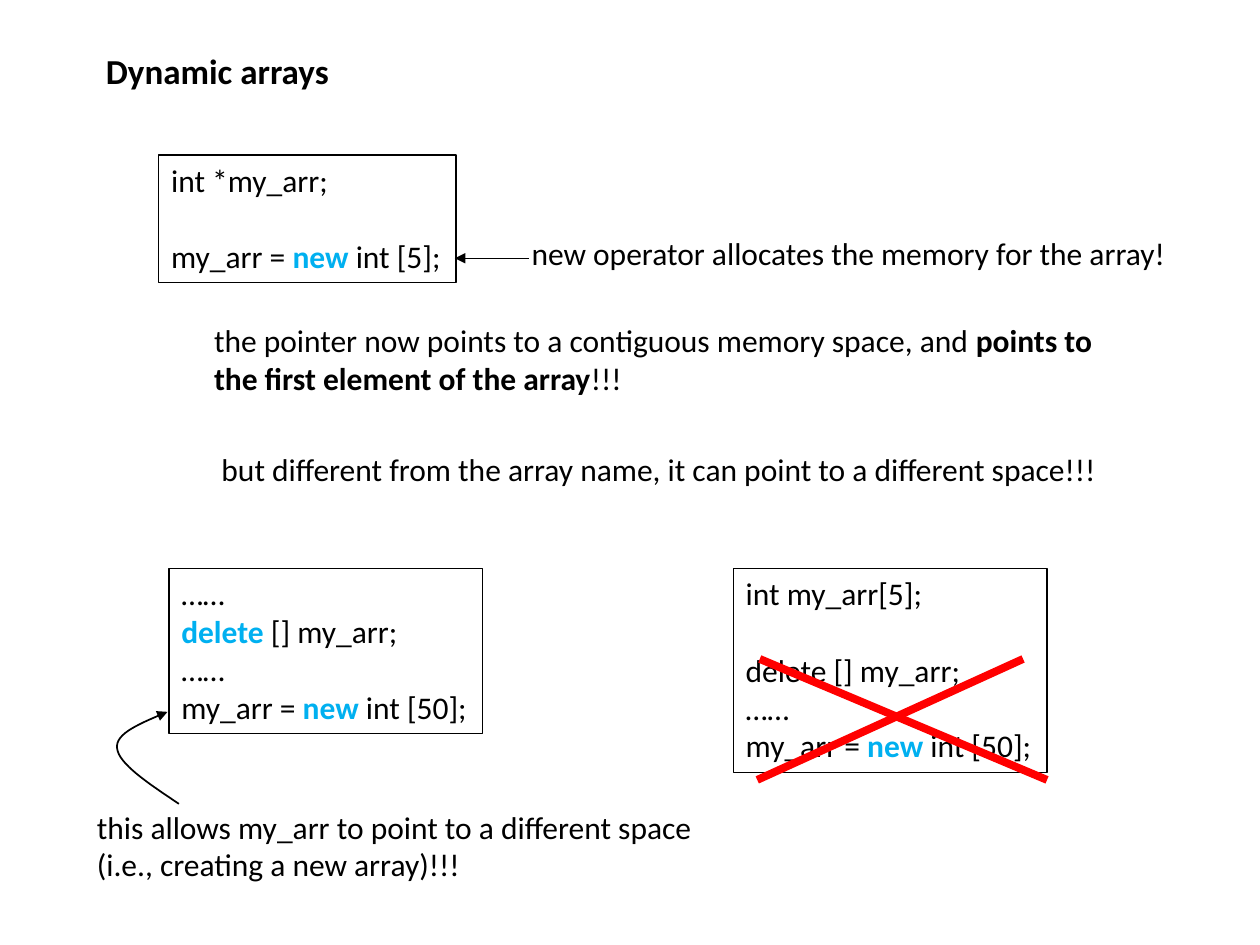
from dataclasses import dataclass

import pptx
import pptx.dml.color
import pptx.enum.shapes
import pptx.enum.text
import pptx.oxml
import pptx.oxml.ns
import pptx.util

Inches = pptx.util.Inches
Pt = pptx.util.Pt
RGB = pptx.dml.color.RGBColor


@dataclass(frozen=True)
class Theme:
    font: str = "Calibri"
    title_size: int = 20
    body_size: int = 18
    ink: RGB = RGB(0x00, 0x00, 0x00)
    keyword: RGB = RGB(0x00, 0xB0, 0xF0)
    cross: RGB = RGB(0xFF, 0x00, 0x00)


theme = Theme()


def write_text(shape, lines, wrap=False, size=theme.body_size):
    """Fill a shape; a line is a list of (text, style), and None leaves a line's gap."""
    frame = shape.text_frame
    frame.word_wrap = wrap
    frame.auto_size = pptx.enum.text.MSO_AUTO_SIZE.SHAPE_TO_FIT_TEXT
    frame.vertical_anchor = pptx.enum.text.MSO_ANCHOR.TOP
    paragraph, gap = None, 0
    for line in lines:
        if line is None:
            gap = 22
            continue
        paragraph = frame.add_paragraph() if paragraph else frame.paragraphs[0]
        paragraph.alignment = pptx.enum.text.PP_ALIGN.LEFT
        paragraph.line_spacing = 1.0
        paragraph.space_before = Pt(gap)
        paragraph.font.name = theme.font
        paragraph.font.size = Pt(size)
        paragraph.font.color.rgb = theme.ink
        gap = 0
        for text, style in line:
            run = paragraph.add_run()
            run.text = text
            if style:
                run.font.bold = True
            if style == "keyword":
                run.font.color.rgb = theme.keyword


def style_line(shape, color, width, arrow=False):
    shape.line.color.rgb = color
    shape.line.width = Pt(width)
    properties = shape.element.spPr
    if arrow:
        tail = pptx.oxml.parse_xml(
            f'<a:tailEnd {pptx.oxml.ns.nsdecls("a")} type="triangle"/>')
        properties.find(pptx.oxml.ns.qn("a:ln")).append(tail)
    if properties.find(pptx.oxml.ns.qn("a:effectLst")) is None:
        properties.append(pptx.oxml.parse_xml(
            f'<a:effectLst {pptx.oxml.ns.nsdecls("a")}/>'))


deck = pptx.Presentation()
deck.slide_width, deck.slide_height = Inches(10), Inches(7.5)
slide = deck.slides.add_slide(deck.slide_layouts[5])
shapes = slide.shapes

title = shapes.title
title.left, title.top = Inches(0.74), Inches(0.34)
title.width, title.height = Inches(1.99), Inches(0.44)
write_text(title, [[("Dynamic arrays", "bold")]], size=theme.title_size)

# Code boxes
ellipsis = [("……", None)]
code_boxes = [
    ((1.26, 1.23, 2.36, 1.01), [
        [("int *my_arr;", None)],
        None,
        [("my_arr = ", None), ("new ", "keyword"), ("int [5];", None)],
    ]),
    ((1.34, 4.51, 2.49, 1.31), [
        ellipsis,
        [("delete", "keyword"), (" [] my_arr;", None)],
        ellipsis,
        [("my_arr = ", None), ("new ", "keyword"), ("int [50];", None)],
    ]),
    ((5.82, 4.51, 2.49, 1.62), [
        [("int my_arr[5];", None)],
        None,
        [("delete [] my_arr;", None)],
        ellipsis,
        [("my_arr = ", None), ("new ", "keyword"), ("int [50];", None)],
    ]),
]
for box, code in code_boxes:
    code_box = shapes.add_shape(
        pptx.enum.shapes.MSO_SHAPE.RECTANGLE, *map(Inches, box))
    code_box.fill.background()
    style_line(code_box, theme.ink, 0.75)
    write_text(code_box, code)

# Explanations
notes = [
    ((4.12, 1.81, 5.29, 0.4), False,
     [("new operator allocates the memory for the array!", None)]),
    ((1.6, 2.5, 7.42, 0.71), True,
     [("the pointer now points to a contiguous memory space, and ", None),
      ("points to the first element of the array", "bold"), ("!!!", None)]),
    ((1.66, 3.52, 7.24, 0.4), False,
     [("but different from the array name, it can point to a different space!!!", None)]),
    ((0.67, 6.36, 5.15, 0.71), True,
     [("this allows my_arr to point to a different space "
       "(i.e., creating a new array)!!!", None)]),
]
for box, wrap, sentence in notes:
    write_text(shapes.add_textbox(*map(Inches, box)), [sentence], wrap)

# Arrow to the new operator, then the cross over the invalid code
straight_lines = [
    ((4.2, 2.05, 3.61, 2.05), theme.ink, 0.5, True),
    ((6.01, 6.19, 8.12, 5.23), theme.cross, 4.5, False),
    ((8.31, 6.19, 6.03, 5.23), theme.cross, 4.5, False),
]
for ends, color, width, arrow in straight_lines:
    connector = shapes.add_connector(
        pptx.enum.shapes.MSO_CONNECTOR.STRAIGHT, *map(Inches, ends))
    style_line(connector, color, width, arrow)

# Curved arrow to the reallocation, traced along two cubic Bézier arcs
arcs = [
    ((1.42, 6.38), (1.18, 6.22), (0.94, 6.06), (0.93, 5.94)),
    ((0.93, 5.94), (0.91, 5.82), (1.12, 5.74), (1.33, 5.65)),
]
steps = 16
curve = []
for arc in arcs:
    for step in range(1, steps + 1):
        t = step / steps
        weights = ((1 - t) ** 3, 3 * t * (1 - t) ** 2, 3 * t ** 2 * (1 - t), t ** 3)
        curve.append(tuple(
            Inches(sum(w * point[axis] for w, point in zip(weights, arc)))
            for axis in (0, 1)))
builder = shapes.build_freeform(*map(Inches, arcs[0][0]))
builder.add_line_segments(curve, close=False)
curved_arrow = builder.convert_to_shape()
curved_arrow.fill.background()
style_line(curved_arrow, theme.ink, 1, arrow=True)

deck.save("out.pptx")
